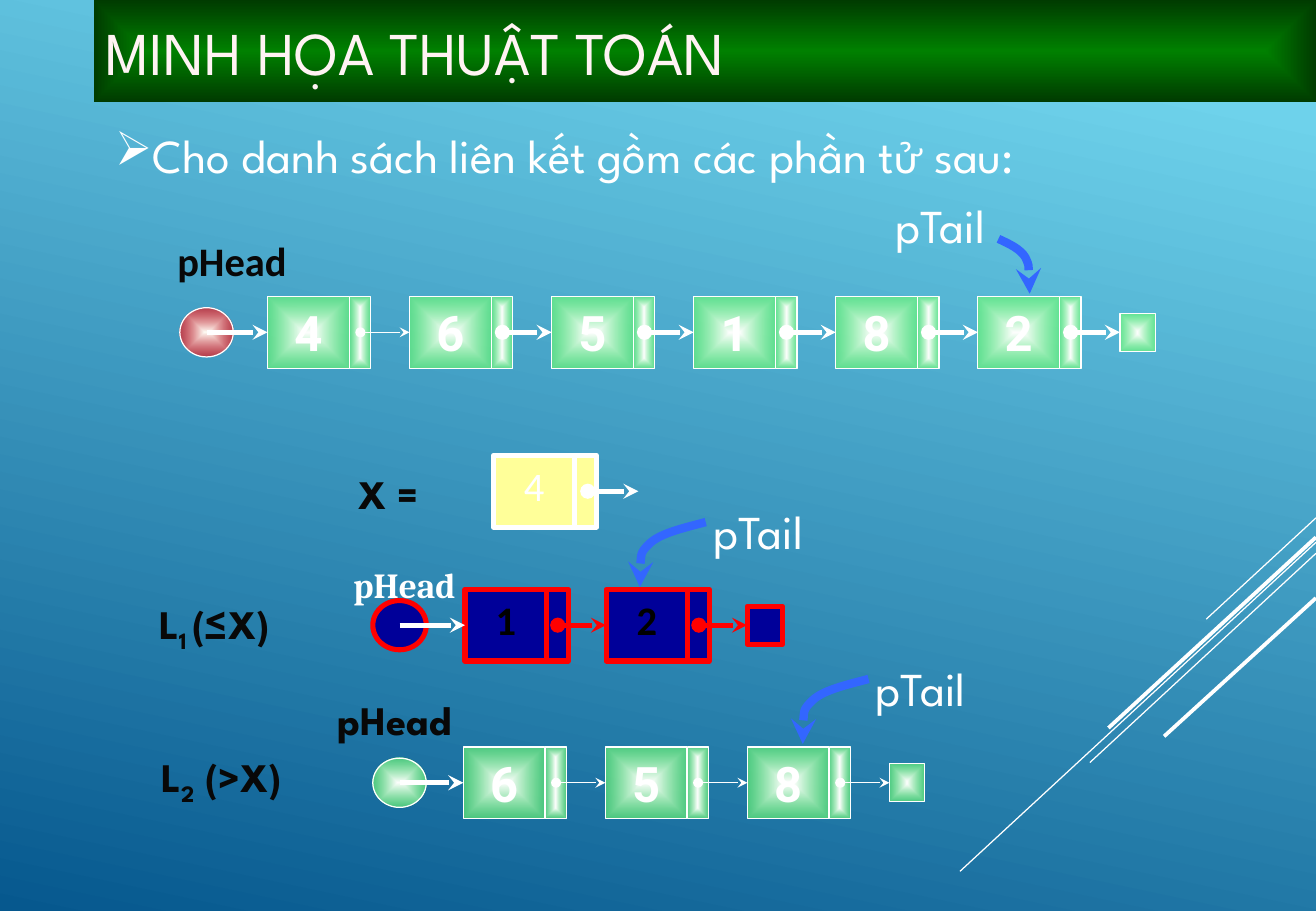
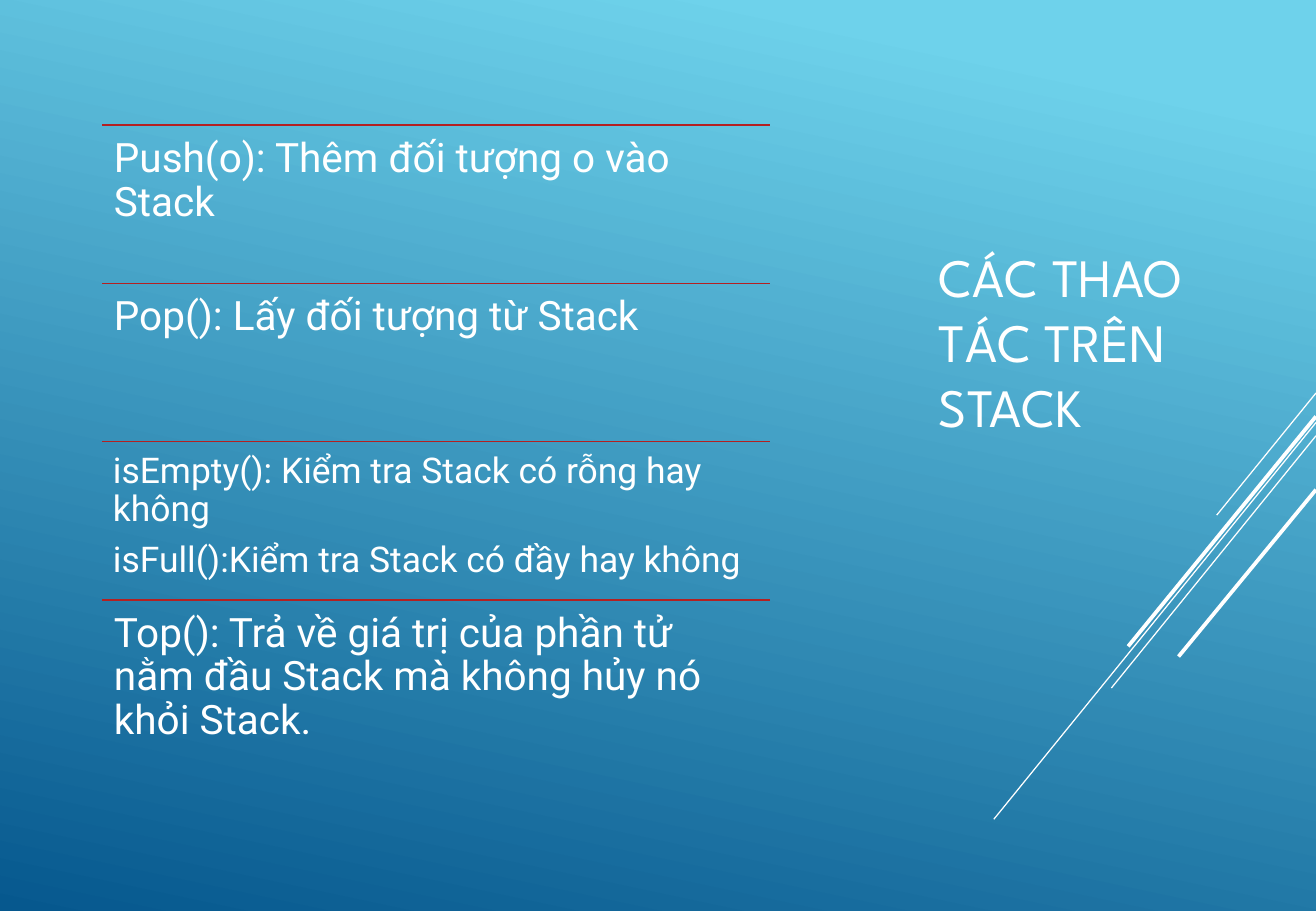
"""Build two slides: splitting a linked list around X, and the stack operations."""
import lxml.etree
import pptx
import pptx.dml.color
import pptx.enum.shapes
import pptx.enum.text
import pptx.oxml.ns
import pptx.util

Pt = pptx.util.Pt
qn = pptx.oxml.ns.qn
SHAPES = pptx.enum.shapes.MSO_SHAPE
STRAIGHT = pptx.enum.shapes.MSO_CONNECTOR.STRAIGHT
ALIGN = pptx.enum.text.PP_ALIGN
ANCHOR = pptx.enum.text.MSO_ANCHOR

WIDTH, HEIGHT = 780, 540
COLORS = {
    "sky": "6ED2EB", "ocean": "06588E", "white": "FFFFFF", "title": "FFF3F3",
    "band": "008000", "band_edge": "003B00", "ink": "080808", "black": "000000",
    "ivory": "FFFFF7", "red": "FF0000", "mint": "69FF69", "yellow": "FFFF99",
    "navy": "000099", "curve": "3366FF", "rule": "B42021",
}
SPARTAN, ROBOTO, CALIBRI, CAMBRIA = "League Spartan", "Roboto", "Calibri", "Cambria"

STREAKS = [
    (65, 0, 60, 0.75), (211, 14.5, 209.5, 0.75), (134, 21, 145, 0.75),
    (123, 11.5, 124.5, 2.25), (90, 47.5, 129.5, 2.25),
]

LIST_TITLE = "MINH HỌA THUẬT TOÁN"
LIST_INTRO = "Cho danh sách liên kết gồm các phần tử sau:"
GREEN = {"fill": ("white", "mint"), "line": "white", "weight": 0.75, "anchor": ANCHOR.MIDDLE,
         "text": dict(size=29, font=ROBOTO, color="white", bold=True)}
BLUE = {"fill": "navy", "line": "red", "weight": 3, "anchor": ANCHOR.TOP,
        "text": dict(size=24, font=CALIBRI, color="black", bold=True)}
YELLOW = {"fill": "yellow", "line": "white", "weight": 3, "anchor": ANCHOR.TOP,
          "text": dict(size=24, font=CALIBRI, color="white")}
LISTS = [
    {"values": "465182", "left": 158.6, "middle": 197, "pitch": 84.2, "style": GREEN,
     "head": 106.6, "head_fill": ("ivory", "red"), "links": [0.75] + [3] * 5},
    {"values": "12", "left": 275.6, "middle": 370.6, "pitch": 83.6, "style": BLUE,
     "head": 221, "head_fill": "navy", "links": [3] * 2},
    {"values": "658", "left": 274.6, "middle": 464, "pitch": 84.2, "style": GREEN,
     "head": 221, "head_fill": ("white", "mint"), "links": [0.75] * 3},
]
X_NODE = {"value": "4", "left": 292.4, "middle": 291.2}
NODE_WIDTH, LINK_WIDTH, NODE_HEIGHT = 48.4, 12.8, 42.5
LINK_START, LINK_LENGTH = 55, 30
HEAD_WIDTH, HEAD_HEIGHT, END_WIDTH, END_HEIGHT = 31.7, 29.2, 21, 22.6

DARK = dict(size=24, font=SPARTAN, color="ink", bold=True)
TAIL = dict(size=28, font=SPARTAN, color="white")
LABELS = [
    ((95, 139.7, 85, 33), [("pHead", 0)], dict(DARK, font=CALIBRI)),
    ((199.4, 278, 62, 31), [("X =", 0)], DARK),
    ((74.2, 355, 105.8, 32.4), [("L", 0), ("1 ", -25), ("(≤X)", 0)], DARK),
    ((185.8, 309.6, 108, 51), [("pHead", -25)],
     dict(size=36, font=CAMBRIA, color="white", bold=True)),
    ((191.5, 411.8, 85, 33.8), [("pHead", 0)], DARK),
    ((78.5, 445.7, 105.8, 29.5), [("L", 0), ("2", -25), (" (>X)", 0)], DARK),
]
BEND_RIGHT = [(65.5, 25), (72, 28), (78.5, 31), (81.5, 36), (84, 41.5), (84, 49.5), (84, 57.5)]
BEND_LEFT = [(0, 11.5), (-13, 15), (-26.5, 18), (-33, 24), (-39.5, 30), (-39.5, 40), (-39, 50)]
TAILS = [(526.3, 116.6, BEND_RIGHT), (418.3, 298, BEND_LEFT), (514.8, 391, BEND_LEFT)]

STACK_TITLE = "CÁC THAO TÁC TRÊN STACK"
OPERATIONS = [
    (["Push(o): Thêm đối tượng o vào Stack"], 24, 7.2),
    (["Pop(): Lấy đối tượng từ Stack"], 24, 7.2),
    (["isEmpty(): Kiểm tra Stack có rỗng hay không",
      "isFull():Kiểm tra Stack có đầy hay không"], 21, 6.5),
    (["Top(): Trả về giá trị của phần tử nằm đầu Stack mà không hủy nó khỏi Stack."], 24, 7.2),
]
OPERATIONS_LEFT, OPERATIONS_TOP, OPERATIONS_WIDTH, OPERATION_HEIGHT = 60.5, 74.2, 396, 93.8


def rgb(name):
    return pptx.dml.color.RGBColor.from_string(COLORS[name])


def set_gradient(fill, first, last, start=0, angle=0):
    fill.gradient()
    fill.gradient_angle = angle
    for stop, position, color in zip(fill.gradient_stops, (start, 1), (first, last)):
        stop.position = position
        stop.color.rgb = rgb(color)


def paint(shape, fill, alpha=None):
    if isinstance(fill, str):
        shape.fill.solid()
        shape.fill.fore_color.rgb = rgb(fill)
        return
    set_gradient(shape.fill, *fill)
    gradient = shape._element.spPr.find(qn("a:gradFill"))
    gradient.remove(gradient.find(qn("a:lin")))
    radial = lxml.etree.SubElement(gradient, qn("a:path"), path="shape")
    lxml.etree.SubElement(radial, qn("a:fillToRect"), l="50000", t="50000", r="50000", b="50000")
    if alpha:
        edge = gradient.findall(".//" + qn("a:srgbClr"))[-1]
        lxml.etree.SubElement(edge, qn("a:alpha"), val=str(alpha * 1000))


def add_box(slide, kind, box, fill, line=None, weight=0, alpha=None):
    shape = slide.shapes.add_shape(kind, *map(Pt, box))
    shape.shadow.inherit = False
    paint(shape, fill, alpha)
    if line:
        shape.line.color.rgb = rgb(line)
        shape.line.width = Pt(weight)
    else:
        shape.line.fill.background()
    return shape


def write(shape, paragraphs, size, font, color, bold=False, align=ALIGN.LEFT,
          anchor=ANCHOR.TOP, inset=(7.2, 3.6), spacing=None, after=0, bullet=None):
    frame = shape.text_frame
    frame.word_wrap = True
    frame.vertical_anchor = anchor
    frame.margin_left = frame.margin_right = Pt(inset[0])
    frame.margin_top = frame.margin_bottom = Pt(inset[1])
    for index, runs in enumerate(paragraphs):
        paragraph = frame.add_paragraph() if index else frame.paragraphs[0]
        paragraph.alignment = align
        if spacing:
            paragraph.line_spacing = spacing
        if after:
            paragraph.space_after = Pt(after)
        if bullet:
            properties = paragraph._p.get_or_add_pPr()
            properties.set("marL", str(Pt(22)))
            properties.set("indent", str(-Pt(22)))
            lxml.etree.SubElement(properties, qn("a:buChar"), char=bullet)
        for text, baseline in runs:
            run = paragraph.add_run()
            run.text = text
            run.font.size = Pt(size)
            run.font.name = font
            run.font.bold = bold
            run.font.color.rgb = rgb(color)
            if baseline:
                run._r.get_or_add_rPr().set("baseline", str(baseline * 1000))


def add_text(slide, box, paragraphs, **style):
    write(slide.shapes.add_textbox(*map(Pt, box)), paragraphs, **style)


def add_ends(shape, head=None, tail=None):
    line = shape.line._get_or_add_ln()
    for tag, kind in (("a:headEnd", head), ("a:tailEnd", tail)):
        if kind:
            lxml.etree.SubElement(line, qn(tag), type=kind)


def add_line(slide, start, end, color, weight, head=None, tail=None):
    connector = slide.shapes.add_connector(STRAIGHT, *map(Pt, (*start, *end)))
    connector.line.color.rgb = rgb(color)
    connector.line.width = Pt(weight)
    lxml.etree.SubElement(connector._element.spPr, qn("a:effectLst"))
    add_ends(connector, head, tail)
    return connector


def add_curve(slide, points):
    start, *controls = [(Pt(x), Pt(y)) for x, y in points]
    builder = slide.shapes.build_freeform(*start)
    builder.add_line_segments(controls, close=False)
    curve = builder.convert_to_shape()
    curve.shadow.inherit = False
    curve.fill.background()
    curve.line.color.rgb = rgb("curve")
    curve.line.width = Pt(5)
    add_ends(curve, tail="stealth")
    segments = list(curve._element.iter(qn("a:lnTo")))
    outline = segments[0].getparent()
    for index in range(0, len(segments), 3):
        bezier = lxml.etree.SubElement(outline, qn("a:cubicBezTo"))
        for segment in segments[index:index + 3]:
            bezier.append(segment[0])
            outline.remove(segment)


def add_slide(presentation, streak_top, scale_x=1, scale_y=1):
    slide = presentation.slides.add_slide(presentation.slide_layouts[6])
    set_gradient(slide.background.fill, "sky", "ocean", 0.1, 258)
    for reach, top, bottom, weight in STREAKS:
        add_line(slide, (WIDTH, streak_top + top * scale_y),
                 (WIDTH - reach * scale_x, streak_top + bottom * scale_y), "white", weight)
    return slide


def add_node(slide, value, left, middle, style):
    top = middle - NODE_HEIGHT / 2
    look = (style["fill"], style["line"], style["weight"], 60)
    add_box(slide, SHAPES.RECTANGLE, (left + NODE_WIDTH, top, LINK_WIDTH, NODE_HEIGHT), *look)
    node = add_box(slide, SHAPES.RECTANGLE, (left, top, NODE_WIDTH, NODE_HEIGHT), *look)
    write(node, [[(value, 0)]], align=ALIGN.CENTER, anchor=style["anchor"], **style["text"])
    return node


def add_list(slide, values, left, middle, pitch, style, head, head_fill, links):
    look = (style["line"], style["weight"], 60)
    add_box(slide, SHAPES.OVAL, (head, middle - HEAD_HEIGHT / 2, HEAD_WIDTH, HEAD_HEIGHT),
            head_fill, *look)
    lefts = [left + pitch * index for index in range(len(values) + 1)]
    targets = [add_node(slide, value, x, middle, style) for value, x in zip(values, lefts)]
    targets.append(add_box(slide, SHAPES.RECTANGLE,
                           (lefts[-1], middle - END_HEIGHT / 2, END_WIDTH, END_HEIGHT),
                           style["fill"], *look))
    arrows = [(head + HEAD_WIDTH / 2, "white", 3, None)]
    arrows += [(x + LINK_START, style["line"], weight, "oval") for x, weight in zip(lefts, links)]
    for target, x, (start, color, weight, origin) in zip(targets, lefts, arrows):
        arrow = add_line(slide, (start, middle), (x, middle), color, weight, origin, "stealth")
        arrow.end_connect(target, 1)


def build_list_slide(presentation):
    slide = add_slide(presentation, 307)
    band = add_box(slide, SHAPES.RECTANGLE, (55.5, 0, WIDTH - 55.5, 60.5), ("band", "band_edge"))
    write(band, [[(LIST_TITLE, 0)]], 36, SPARTAN, "title", anchor=ANCHOR.MIDDLE)
    add_text(slide, (61.2, 71.3, 696, 41), [[(LIST_INTRO, 0)]], bullet="➢", **TAIL)
    for linked_list in LISTS:
        add_list(slide, **linked_list)
    add_node(slide, style=YELLOW, **X_NODE)
    start, middle = X_NODE["left"] + LINK_START + 1, X_NODE["middle"]
    add_line(slide, (start, middle), (start + LINK_LENGTH, middle), "white", 3, "oval", "stealth")
    labels = LABELS + [((x, y, 62, 31), [("pTail", 0)], TAIL) for x, y, bend in TAILS]
    for box, runs, style in labels:
        add_text(slide, box, [runs], align=ALIGN.CENTER, inset=(0, 0), **style)
    for x, y, bend in TAILS:
        add_curve(slide, [(x + dx, y + dy) for dx, dy in bend])


def build_stack_slide(presentation):
    slide = add_slide(presentation, 233, 0.905, 1.206)
    add_text(slide, (549.4, 74.2, 194.4, 255.6), [[(STACK_TITLE, 0)]], size=32, font=SPARTAN,
             color="white", anchor=ANCHOR.MIDDLE)
    left, width = OPERATIONS_LEFT, OPERATIONS_WIDTH
    for index, (lines, size, inset) in enumerate(OPERATIONS):
        top = OPERATIONS_TOP + OPERATION_HEIGHT * index
        add_line(slide, (left, top), (left + width, top), "rule", 1)
        add_text(slide, (left, top, width, OPERATION_HEIGHT), [[(line, 0)] for line in lines],
                 size=size, font=ROBOTO, color="white", inset=(inset, inset),
                 spacing=0.9, after=round(size * 0.35, 1))


def main():
    presentation = pptx.Presentation()
    presentation.slide_width, presentation.slide_height = Pt(WIDTH), Pt(HEIGHT)
    build_list_slide(presentation)
    build_stack_slide(presentation)
    presentation.save("out.pptx")


if __name__ == "__main__":
    main()
